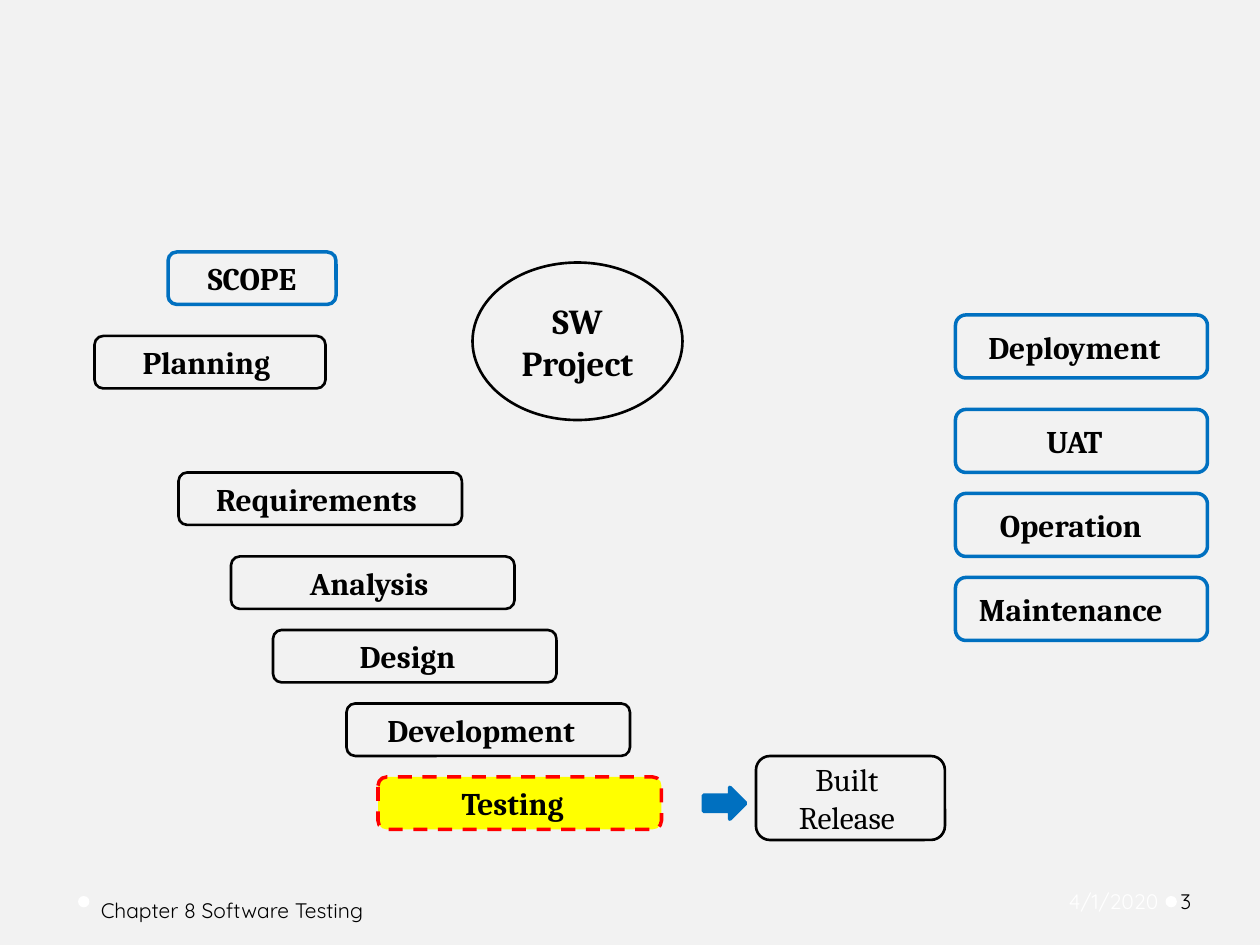
from pptx import Presentation
from pptx.dml.color import RGBColor
from pptx.enum.dml import MSO_LINE_DASH_STYLE as Dash
from pptx.enum.shapes import MSO_SHAPE as Shape
from pptx.enum.text import MSO_ANCHOR as Anchor, PP_ALIGN as Align
from pptx.util import Pt

BACKGROUND = RGBColor(0xF2, 0xF2, 0xF2)
BLACK = RGBColor(0, 0, 0)
WHITE = RGBColor(0xFF, 0xFF, 0xFF)
BLUE = RGBColor(0x00, 0x70, 0xC0)
YELLOW = RGBColor(0xFF, 0xFF, 0)
RED = RGBColor(0xFF, 0, 0)

# label, left, top, leftward shift of the label
PHASES = [
    ("Requirements", 102, 270, 2),
    ("Analysis", 132, 318, 2),
    ("Design", 156, 360, 4),
    ("Development", 198, 402, 4),
]
# label, top, leftward shift of the label
AFTER_RELEASE = [
    ("Deployment", 180, 4),
    ("UAT", 234, 4),
    ("Operation", 282, 6),
    ("Maintenance", 330, 6),
]


class SlideBuilder:
    heading_font = "Cambria"
    footer_font = "Quicksand"
    inset = 7.2

    def __init__(self, page):
        self.page = page
        page.background.fill.solid()
        page.background.fill.fore_color.rgb = BACKGROUND

    def set_label(self, box, text, font, size, color, bold, align):
        frame = box.text_frame
        frame.text = text
        frame.word_wrap = True
        frame.vertical_anchor = Anchor.MIDDLE
        for para in frame.paragraphs:
            para.alignment = align
            for span in para.runs:
                span.font.name = font
                span.font.size = Pt(size)
                span.font.bold = bold
                span.font.color.rgb = color

    def shape(self, kind, place, fill=None, line=None, width=1.5):
        box = self.page.shapes.add_shape(kind, *map(Pt, place))
        box.shadow.inherit = False
        if fill is None:
            box.fill.background()
        else:
            box.fill.solid()
            box.fill.fore_color.rgb = fill
        if line is None:
            box.line.fill.background()
        else:
            box.line.color.rgb = line
            box.line.width = Pt(width)
        return box

    def node(self, text, place, kind=Shape.ROUNDED_RECTANGLE, fill=None,
             line=BLACK, width=1.5, size=18, bold=True, shift=0):
        """Outlined shape whose centred label sits `shift` points to the left."""
        box = self.shape(kind, place, fill, line, width)
        self.set_label(box, text, self.heading_font, size, BLACK, bold, Align.CENTER)
        box.text_frame.margin_right = Pt(self.inset + 2 * shift)
        return box

    def footer(self, text, place, color=BLACK, align=Align.LEFT, left=3.6):
        box = self.page.shapes.add_textbox(*map(Pt, place))
        self.set_label(box, text, self.footer_font, 12, color, False, align)
        box.text_frame.margin_left = Pt(left)
        box.text_frame.margin_right = Pt(3.6)


def main():
    deck = Presentation()
    deck.slide_width, deck.slide_height = Pt(720), Pt(540)
    builder = SlideBuilder(deck.slides.add_slide(deck.slide_layouts[6]))

    for left in (666, 44.6):
        builder.shape(Shape.OVAL, (left, 512, 6.5, 6.5), fill=WHITE)

    builder.node("SW\nProject", (270, 150, 120, 90), kind=Shape.OVAL, size=20)
    builder.node("SCOPE", (96, 144, 96, 30), line=BLUE, width=2)
    builder.node("Planning", (54, 192, 132, 30), shift=2)

    for label, left, top, shift in PHASES:
        builder.node(label, (left, top, 162, 30), shift=shift)
    testing = builder.node("Testing", (216, 444, 162, 30), fill=YELLOW,
                           line=RED, width=2, shift=4)
    testing.line.dash_style = Dash.DASH

    builder.shape(Shape.RIGHT_ARROW, (402, 450, 24, 18), BLUE, BLUE, 2.25)
    builder.node("Built\nRelease", (432, 432, 108, 48), bold=False, shift=2)

    for label, top, shift in AFTER_RELEASE:
        builder.node(label, (546, top, 144, 36), line=BLUE, width=2, shift=shift)

    builder.footer("Chapter 8 Software Testing", (54, 505.5, 224, 29))
    builder.footer("4/1/2020", (576, 500.5, 89.5, 29), WHITE, Align.RIGHT)
    builder.footer("3", (672.5, 500.5, 44, 29), left=2)

    deck.save("out.pptx")


if __name__ == "__main__":
    main()
